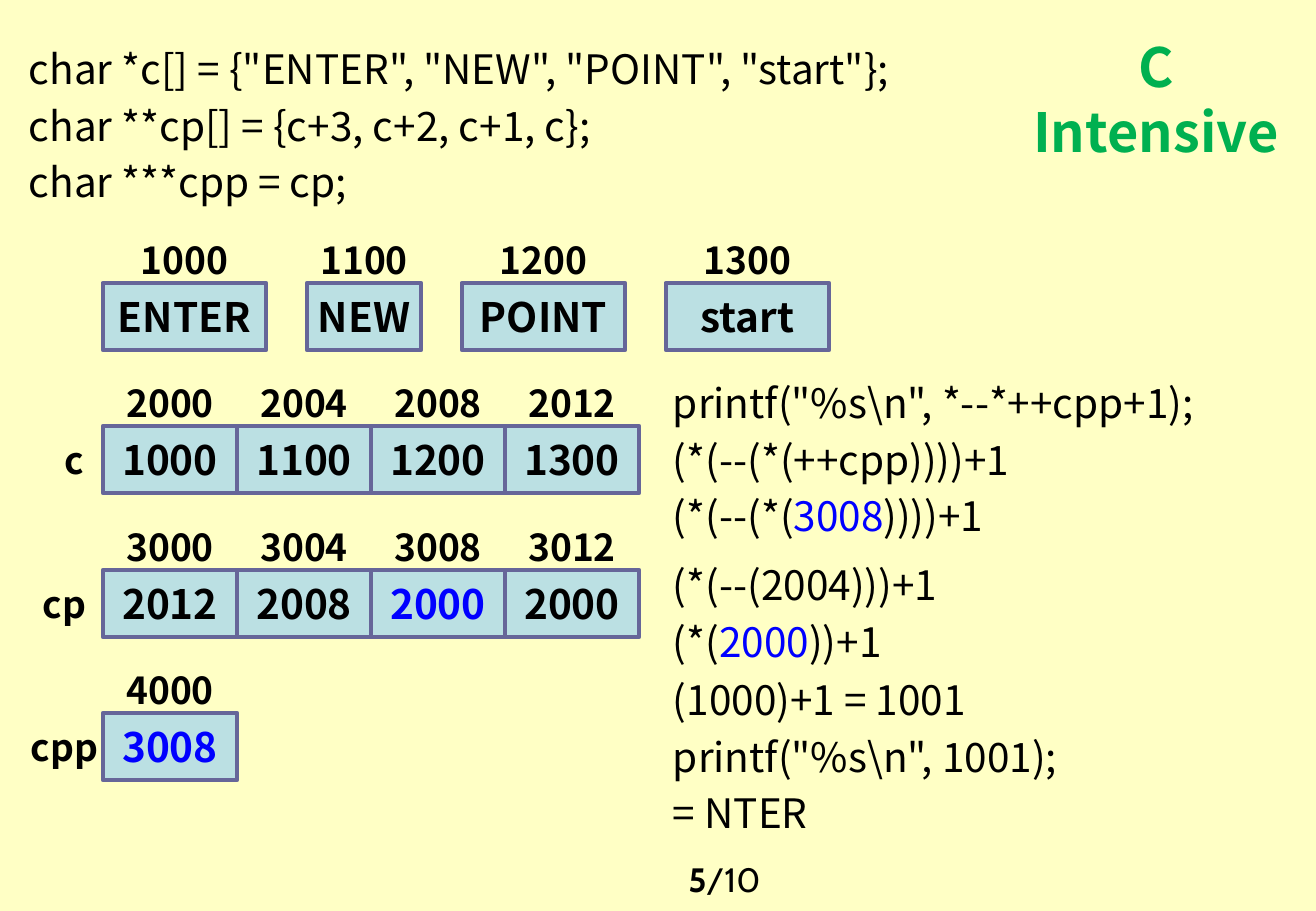
from pptx import Presentation
from pptx import util as u
from pptx.dml.color import RGBColor
from pptx.enum import shapes, text

SCALE = 7526
FONT = "Noto Sans CJK KR"
BLACK, BLUE, GREEN = "000000", "0000FF", "00B050"
LEFT, CENTER = text.PP_ALIGN.LEFT, text.PP_ALIGN.CENTER
TOP, MIDDLE = text.MSO_ANCHOR.TOP, text.MSO_ANCHOR.MIDDLE


def rgb(value):
    return RGBColor.from_string(value)


def write(shape, box, lines, size, bold=True, align=CENTER, anchor=MIDDLE,
          wrap=False, color=BLACK, pitch=None):
    shape.left, shape.top, shape.width, shape.height = [v * SCALE for v in box]
    frame = shape.text_frame
    frame.word_wrap = wrap
    frame.auto_size = text.MSO_AUTO_SIZE.NONE
    frame.vertical_anchor = anchor
    for number, line in enumerate(lines):
        paragraph = frame.add_paragraph() if number else frame.paragraphs[0]
        paragraph.alignment = align
        paragraph.space_before = u.Pt(4.8 if number else 0)
        if pitch:
            paragraph.line_spacing = u.Pt(pitch)
        paragraph.font.name = FONT
        paragraph.font.size = u.Pt(size)
        paragraph.font.bold = bold
        for position, part in enumerate(line.split("|")):
            if part:
                run = paragraph.add_run()
                run.text = part
                run.font.color.rgb = rgb(BLUE if position % 2 else color)


deck = Presentation()
deck.slide_width, deck.slide_height = 1316 * SCALE, 911 * SCALE
slide = deck.slides.add_slide(deck.slide_layouts[5])
slide.background.fill.solid()
slide.background.fill.fore_color.rgb = rgb("FFFFC5")

write(slide.shapes.title, (1014, 26, 284, 150), ["C Intensive"], 32,
      anchor=TOP, wrap=True, color=GREEN, pitch=39)

code_blocks = [
    ((17, 38, 948, 179), ['char *c[] = {"ENTER", "NEW", "POINT", "start"};',
                          "char **cp[] = {c+3, c+2, c+1, c};",
                          "char ***cpp = cp;"]),
    ((661, 372, 655, 179), ['printf("%s\\n", *--*++cpp+1);',
                            "(*(--(*(++cpp))))+1",
                            "(*(--(*(|3008|))))+1"]),
    ((661, 554, 620, 120), ["(*(--(2004)))+1", "(*(|2000|))+1"]),
    ((661, 669, 655, 179), ["(1000)+1 = 1001",
                            'printf("%s\\n", 1001);',
                            "= NTER"]),
]
for box, lines in code_blocks:
    write(slide.shapes.add_textbox(0, 0, 0, 0), box, lines, 24, bold=False,
          align=LEFT, anchor=TOP, wrap=True, pitch=28.8)

WORD, SHORT_WORD, POINTER = 163, 114, 134
memory_rows = [
    ("", 0, 41, [("1000", "ENTER", WORD), ("1100", "NEW", SHORT_WORD),
                 ("1200", "POINT", WORD), ("1300", "start", WORD)]),
    ("c", 46, 0, [("2000", "1000", POINTER), ("2004", "1100", POINTER),
                  ("2008", "1200", POINTER), ("2012", "1300", POINTER)]),
    ("cp", 36, 0, [("3000", "2012", POINTER), ("3004", "2008", POINTER),
                   ("3008", "|2000|", POINTER), ("3012", "2000", POINTER)]),
    ("cpp", 36, 0, [("4000", "|3008|", POINTER)]),
]
for row, (variable, variable_left, gap, cells) in enumerate(memory_rows):
    top = 283 + row * 287 // 2
    if variable:
        write(slide.shapes.add_textbox(0, 0, 0, 0),
              (variable_left, top + 10, 57, 47), [variable], 22)
    left = 103
    for address, value, width in cells:
        write(slide.shapes.add_textbox(0, 0, 0, 0),
              (left, top - 47, width, 47), [address], 22)
        cell = slide.shapes.add_shape(shapes.MSO_SHAPE.RECTANGLE, 0, 0, 0, 0)
        cell.shadow.inherit = False
        cell.fill.solid()
        cell.fill.fore_color.rgb = rgb("BBE0E3")
        cell.line.color.rgb = rgb("666699")
        cell.line.width = u.Pt(2.75)
        write(cell, (left, top, width, 67), [value], 24)
        left += width + gap

page = slide.shapes.add_textbox(563 * SCALE, 842 * SCALE, 323 * SCALE, 63 * SCALE)
page.text_frame.word_wrap = True
page.text_frame.vertical_anchor = text.MSO_ANCHOR.BOTTOM
page_line = page.text_frame.paragraphs[0]
page_line.alignment = CENTER
page_line.font.name = "Cabin"
page_line.font.size = u.Pt(20)
page_line.font.color.rgb = rgb(BLACK)
for part, bold in (("5", True), ("/10", False)):
    run = page_line.add_run()
    run.text = part
    run.font.bold = bold

deck.save("out.pptx")
